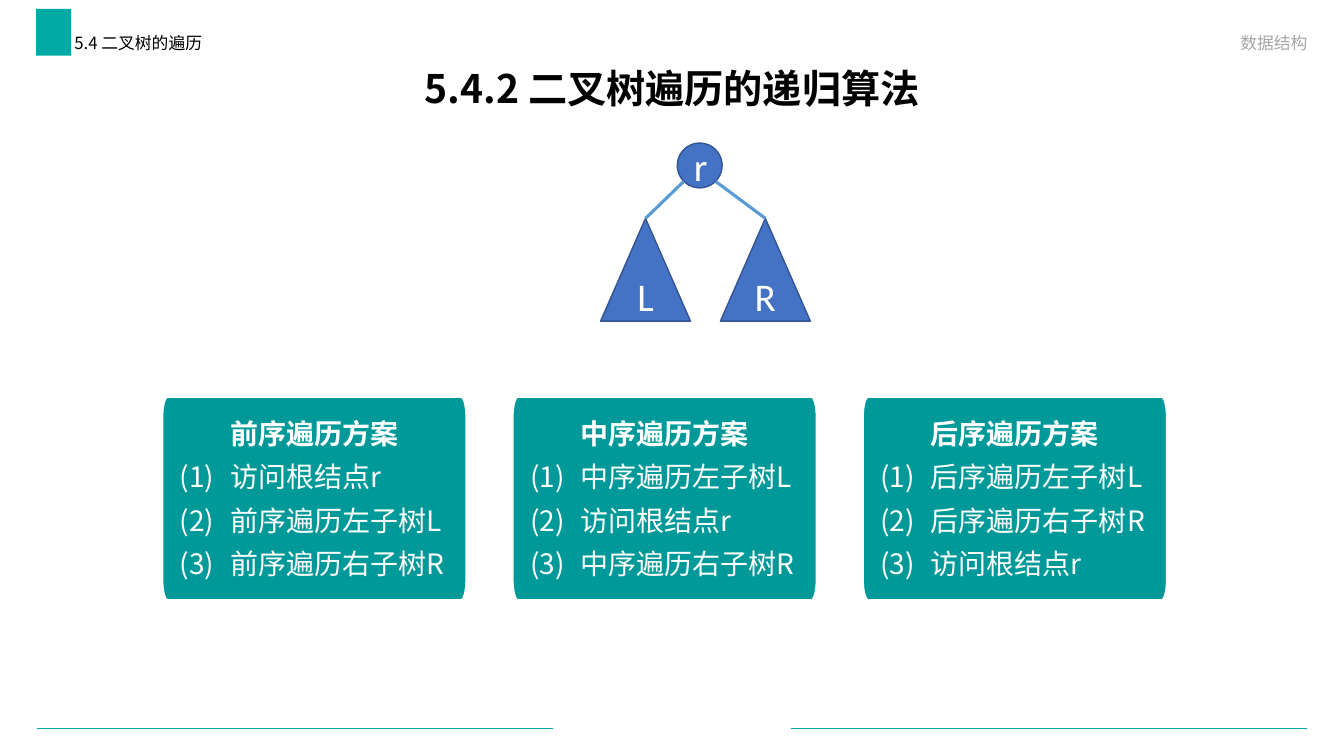
from math import cos, pi, sin

from pptx import Presentation
from pptx.dml.color import RGBColor
from pptx.enum.shapes import MSO_CONNECTOR, MSO_SHAPE
from pptx.enum.text import MSO_ANCHOR, PP_ALIGN
from pptx.oxml.ns import qn
from pptx.util import Pt
from lxml.etree import SubElement

COLORS = {
    "accent": "00ABA5", "card": "009999",
    "node": "4472C4", "node_edge": "325491", "branch": "5B9BD5",
    "black": "000000", "grey": "A6A6A6", "white": "FFFFFF",
}
CJK = "Noto Sans CJK SC"
PLANS = [
    ("前序遍历方案", ["访问根结点r", "前序遍历左子树L", "前序遍历右子树R"]),
    ("中序遍历方案", ["中序遍历左子树L", "访问根结点r", "中序遍历右子树R"]),
    ("后序遍历方案", ["后序遍历左子树L", "后序遍历右子树R", "访问根结点r"]),
]


def color(name):
    return RGBColor.from_string(COLORS[name])


def apply(target, **values):
    for name, value in values.items():
        setattr(target, name, value)


def paint(shape, fill, edge=None):
    shape.shadow.inherit = False
    shape.fill.solid()
    shape.fill.fore_color.rgb = color(fill)
    if edge:
        shape.line.color.rgb = color(edge)
        shape.line.width = Pt(1)
    else:
        shape.line.fill.background()


def write(paragraph, text, size, ink, font=CJK, bold=False, **layout):
    run = paragraph.add_run()
    run.text = text
    apply(run.font, name=font, size=Pt(size), bold=bold)
    run.font.color.rgb = color(ink)
    SubElement(run._r.get_or_add_rPr(), qn("a:ea"), typeface=font)
    apply(paragraph, **layout)


def add_label(slide, box, text, ink, anchor, **layout):
    label = slide.shapes.add_textbox(*map(Pt, box)).text_frame
    apply(label, word_wrap=True, vertical_anchor=anchor)
    write(label.paragraphs[0], text, 12, ink, **layout)


def add_line(slide, start, end, ink, width):
    line = slide.shapes.add_connector(
        MSO_CONNECTOR.STRAIGHT, *map(Pt, (*start, *end)))
    line.line.color.rgb = color(ink)
    line.line.width = Pt(width)
    SubElement(line._element.spPr, qn("a:effectLst"))


def add_node(slide, kind, box, text):
    node = slide.shapes.add_shape(kind, *map(Pt, box))
    paint(node, "node", "node_edge")
    apply(node.text_frame, word_wrap=True, vertical_anchor=MSO_ANCHOR.MIDDLE)
    write(node.text_frame.paragraphs[0], text, 28, "white", "Calibri",
          alignment=PP_ALIGN.CENTER)


def card_outline(left, top, width, height, rx=3.6, ry=14.4, steps=8):
    """Points of a rectangle with elliptical corners, clockwise from left."""
    corners = [(left + rx, top + ry), (left + width - rx, top + ry),
               (left + width - rx, top + height - ry),
               (left + rx, top + height - ry)]
    for quarter, (x, y) in enumerate(corners):
        for step in range(steps + 1):
            angle = pi + (quarter + step / steps) * pi / 2
            yield Pt(x + rx * cos(angle)), Pt(y + ry * sin(angle))


def add_card(slide, box, heading, steps):
    first, *rest = card_outline(*box)
    builder = slide.shapes.build_freeform(*first)
    builder.add_line_segments(rest, close=True)
    card = builder.convert_to_shape()
    paint(card, "card", "white")
    frame = card.text_frame
    apply(frame, word_wrap=True, vertical_anchor=MSO_ANCHOR.MIDDLE)
    apply(frame, **{f"margin_{side}": Pt(12.2)
                    for side in ("left", "right", "top", "bottom")})
    write(frame.paragraphs[0], heading, 20, "white", bold=True,
          alignment=PP_ALIGN.CENTER, space_after=Pt(7))
    for step in steps:
        paragraph = frame.add_paragraph()
        properties = paragraph._p.get_or_add_pPr()
        properties.set("marL", str(Pt(36)))
        properties.set("indent", str(-Pt(36)))
        SubElement(properties, qn("a:buAutoNum"), type="arabicParenBoth")
        write(paragraph, step, 20, "white", alignment=PP_ALIGN.LEFT,
              space_after=Pt(7))


def main():
    deck = Presentation()
    apply(deck, slide_width=Pt(960), slide_height=Pt(540))
    slide = deck.slides.add_slide(deck.slide_layouts[5])

    # Footer rules and header block
    for left in (26.6, 565.2):
        add_line(slide, (left, 520), (left + 368.2, 520), "accent", 0.5)
    header_block = slide.shapes.add_shape(
        MSO_SHAPE.RECTANGLE, Pt(25.8), Pt(6.4), Pt(25), Pt(33.4))
    paint(header_block, "accent")

    # Title and header labels
    title = slide.shapes.title
    apply(title, left=Pt(66), top=Pt(44.6), width=Pt(828), height=Pt(41))
    apply(title.text_frame, word_wrap=True, vertical_anchor=MSO_ANCHOR.MIDDLE)
    write(title.text_frame.paragraphs[0], "5.4.2 二叉树遍历的递归算法", 28,
          "black", bold=True, alignment=PP_ALIGN.CENTER, line_spacing=0.9)
    add_label(slide, (46, 21.6, 383, 26), "5.4 二叉树的遍历", "black",
              MSO_ANCHOR.TOP, alignment=PP_ALIGN.LEFT, line_spacing=0.9)
    add_label(slide, (535, 15.8, 406, 25.2), "数据结构", "grey",
              MSO_ANCHOR.BOTTOM, alignment=PP_ALIGN.RIGHT)

    # Binary tree: root with left and right subtrees
    add_node(slide, MSO_SHAPE.OVAL, (483.8, 102.2, 32, 32), "r")
    for left, joint, name in [(429, 488.4, "L"), (514.6, 511.2, "R")]:
        add_node(slide, MSO_SHAPE.ISOSCELES_TRIANGLE,
                 (left, 156, 64.2, 73.4), name)
        add_line(slide, (joint, 129.6), (left + 32.1, 156), "branch", 2.25)

    # Traversal plans
    for column, (heading, steps) in enumerate(PLANS):
        add_card(slide, (116.2 + 250.2 * column, 283.7, 216.7, 144.7),
                 heading, steps)

    deck.save("out.pptx")


if __name__ == "__main__":
    main()
